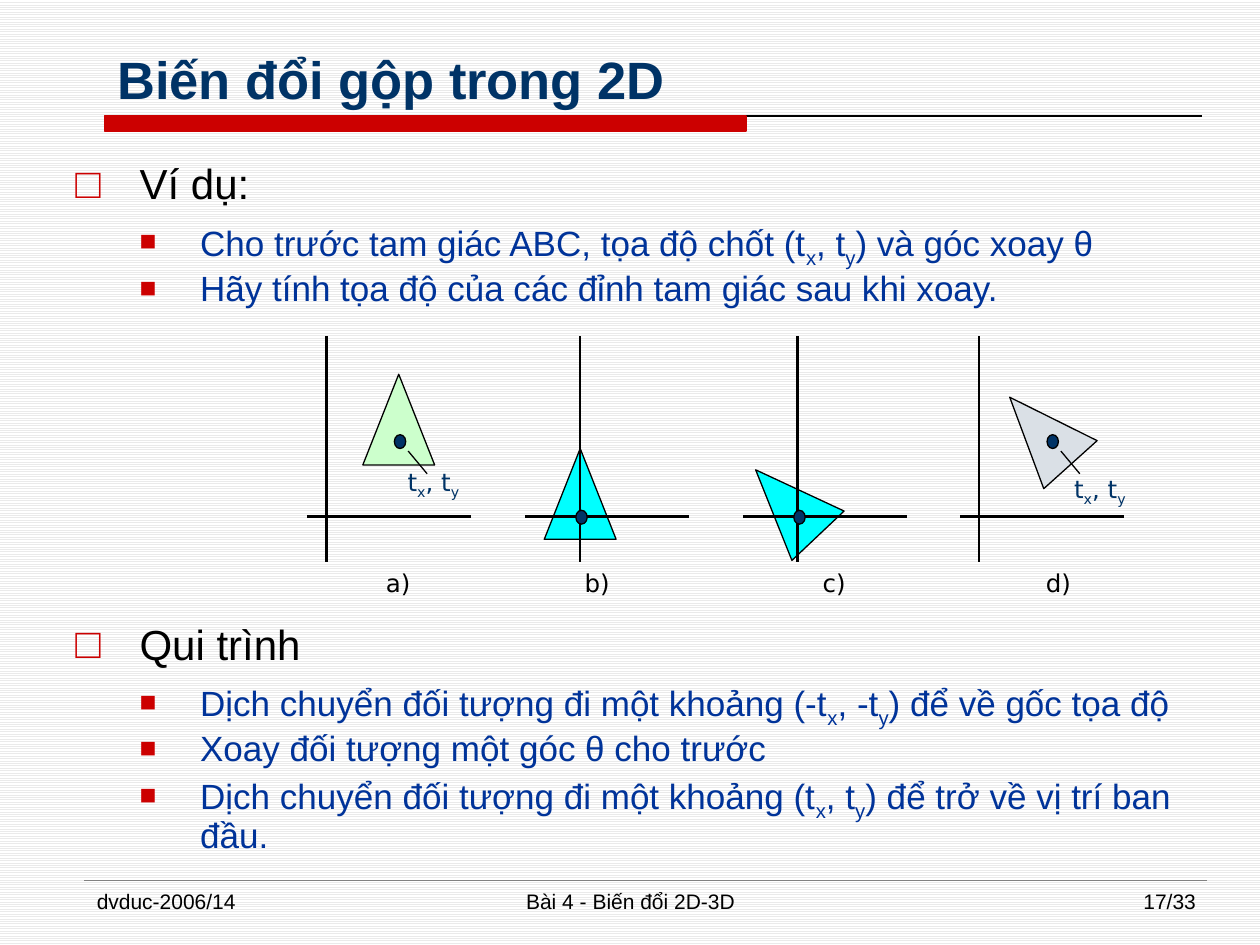
from lxml import etree
from pptx import Presentation
from pptx.dml.color import RGBColor
from pptx.enum.dml import MSO_PATTERN
from pptx.enum.shapes import MSO_CONNECTOR, MSO_SHAPE
from pptx.enum.text import MSO_ANCHOR, MSO_AUTO_SIZE, PP_ALIGN
from pptx.oxml.ns import qn
from pptx.util import Inches, Pt

LEFT, CENTER, RIGHT = PP_ALIGN.LEFT, PP_ALIGN.CENTER, PP_ALIGN.RIGHT
TOP, BOTTOM = MSO_ANCHOR.TOP, MSO_ANCHOR.BOTTOM
NO_FIT = MSO_AUTO_SIZE.NONE
STRAIGHT = MSO_CONNECTOR.STRAIGHT
RECTANGLE, TRIANGLE, OVAL = MSO_SHAPE.RECTANGLE, MSO_SHAPE.ISOSCELES_TRIANGLE, MSO_SHAPE.OVAL
LIGHT_LINES = MSO_PATTERN.LIGHT_HORIZONTAL

BLACK, NAVY, BLUE, RED, GRAY = "000000", "003366", "003399", "CC0000", "808080"
FONT, FIGURE_FONT = "Arial", "DejaVu Sans"

# Outline levels: text format, paragraph spacing and bullet
LEVELS = [
    {"size": 24, "color": BLACK, "before": 1, "after": 4,
     "margin": 0.51, "hang": 0.51, "bullet": "□", "bullet_size": 100},
    {"size": 20, "color": BLUE, "before": 3.5, "after": 0,
     "margin": 0.99, "hang": 0.48, "bullet": "■", "bullet_size": 80},
]
FIGURE_GAP = 180  # points left free for the figure

# (level, text, space before); "_" puts the next letter in subscript
OUTLINE = [
    (0, "Ví dụ:", None),
    (1, "Cho trước tam giác ABC, tọa độ chốt (t_x, t_y) và góc xoay θ", None),
    (1, "Hãy tính tọa độ của các đỉnh tam giác sau khi xoay.", None),
    (0, "Qui trình", FIGURE_GAP),
    (1, "Dịch chuyển đối tượng đi một khoảng (-t_x, -t_y) để về gốc tọa độ", None),
    (1, "Xoay đối tượng một góc θ cho trước", None),
    (1, "Dịch chuyển đối tượng đi một khoảng (t_x, t_y) để trở về vị trí ban đầu.", None),
]

# Steps of the transformation; offsets are measured from the panel corner
PANELS = [
    {"left": 2.44, "axis": 0.15, "weight": 1.5, "triangle": (0.44, 0.30), "angle": 0,
     "fill": "CCFFCC", "pivot": (0.73, 0.83), "label": (0.57, 0.99),
     "caption": "a)", "caption_left": 0.29},
    {"left": 4.17, "axis": 0.43, "weight": 1.25, "triangle": (0.15, 0.89), "angle": 0,
     "fill": "00FFFF", "pivot": (0.44, 1.43), "label": None,
     "caption": "b)", "caption_left": 0.14},
    {"left": 5.90, "axis": 0.43, "weight": 1.25, "triangle": (0.06, 0.96), "angle": 316.6,
     "fill": "00FFFF", "pivot": (0.44, 1.43), "label": None,
     "caption": "c)", "caption_left": 0.29},
    {"left": 7.62, "axis": 0.15, "weight": 1.5, "triangle": (0.35, 0.39), "angle": 318,
     "fill": "DAE0E6", "pivot": (0.73, 0.83), "label": (0.68, 1.04),
     "caption": "d)", "caption_left": 0.35},
]
PANEL_TOP, PANEL_WIDTH, PANEL_HEIGHT = 2.67, 1.3, 1.79


def rgb(value):
    return RGBColor.from_string(value)


def inches(*values):
    return [Inches(value) for value in values]


def add_line(slide, start, end, color, weight):
    line = slide.shapes.add_connector(STRAIGHT, *inches(*start, *end))
    line.line.color.rgb = rgb(color)
    line.line.width = Pt(weight)
    etree.SubElement(line._element.spPr, qn("a:effectLst"))


def add_figure(slide, kind, box, fill, outline=BLACK, angle=0):
    shape = slide.shapes.add_shape(kind, *inches(*box))
    shape.shadow.inherit = False
    shape.fill.solid()
    shape.fill.fore_color.rgb = rgb(fill)
    shape.line.color.rgb = rgb(outline)
    shape.line.width = Pt(0.75)
    shape.rotation = angle


def write(para, text, size, color, name=FONT, bold=False):
    """Write text as runs, with each letter after "_" in subscript."""
    first, *rest = text.split("_")
    pieces = [(first, False)]
    for part in rest:
        pieces += [(part[0], True), (part[1:], False)]
    font_format = {"size": Pt(size), "name": name, "bold": bold}
    for piece, lowered in pieces:
        if not piece:
            continue
        span = para.add_run()
        span.text = piece
        for key, value in font_format.items():
            setattr(span.font, key, value)
        span.font.color.rgb = rgb(color)
        if lowered:
            span._r.get_or_add_rPr().set("baseline", "-25000")


def prepare_frame(shape, anchor=TOP):
    frame = shape.text_frame
    frame_format = {"word_wrap": True, "auto_size": NO_FIT, "vertical_anchor": anchor}
    for key, value in frame_format.items():
        setattr(frame, key, value)
    return frame


def add_text(slide, box, text, size, color, align=LEFT, name=FONT, space=0):
    frame = prepare_frame(slide.shapes.add_textbox(*inches(*box)))
    para = frame.paragraphs[0]
    para.alignment = align
    para.space_before = para.space_after = Pt(space)
    write(para, text, size, color, name)


def set_bullet(para, level):
    props = para._p.get_or_add_pPr()
    props.set("marL", str(Inches(level["margin"])))
    props.set("indent", str(-Inches(level["hang"])))
    color = etree.SubElement(props, qn("a:buClr"))
    etree.SubElement(color, qn("a:srgbClr"), val=RED)
    etree.SubElement(props, qn("a:buSzPct"), val=str(level["bullet_size"] * 1000))
    etree.SubElement(props, qn("a:buFont"), typeface=FONT)
    etree.SubElement(props, qn("a:buChar"), char=level["bullet"])


def place_title(slide, box, text):
    title = slide.shapes.title
    title.left, title.top, title.width, title.height = inches(*box)
    para = prepare_frame(title, BOTTOM).paragraphs[0]
    para.alignment = LEFT
    write(para, text, 30, NAVY, bold=True)
    # Rule under the title
    left, base = box[0], box[1] + box[3]
    add_line(slide, (left, base), (9.54, base), BLACK, 0.75)
    add_figure(slide, RECTANGLE, (left, base, 5.09, 0.12), RED, RED)


def place_outline(slide, box):
    frame = prepare_frame(slide.shapes.add_textbox(*inches(*box)))
    for index, (depth, text, gap) in enumerate(OUTLINE):
        para = frame.add_paragraph() if index else frame.paragraphs[0]
        level = LEVELS[depth]
        para.level = depth
        para.line_spacing = 0.9
        para.space_before = Pt(gap or level["before"])
        para.space_after = Pt(level["after"])
        set_bullet(para, level)
        write(para, text, level["size"], level["color"])


def place_panel(slide, box, panel):
    left, top, width, height = box

    def at(offset):
        return left + offset[0], top + offset[1]

    add_figure(slide, TRIANGLE, (*at(panel["triangle"]), 0.57, 0.72),
               panel["fill"], angle=panel["angle"])
    # Axes
    axis = panel["axis"]
    add_line(slide, at((axis, 0)), at((axis, height)), BLACK, panel["weight"])
    add_line(slide, at((0, 1.43)), at((width, 1.43)), BLACK, panel["weight"])
    # Pivot point
    x, y = at(panel["pivot"])
    add_figure(slide, OVAL, (x - 0.04, y - 0.05, 0.09, 0.11), NAVY)
    if panel["label"]:
        add_line(slide, (x + 0.07, y + 0.08), (x + 0.22, y + 0.26), BLACK, 0.75)
        add_text(slide, (*at(panel["label"]), 0.86, 0.44), "t_x, t_y",
                 14, NAVY, CENTER, FIGURE_FONT, 1)
    add_text(slide, (*at((panel["caption_left"], height)), 0.86, 0.54),
             panel["caption"], 14, BLACK, CENTER, FIGURE_FONT, 1)


def place_footer(slide, top, height):
    add_line(slide, (0.67, top - 0.01), (9.58, top - 0.01), GRAY, 0.25)
    for left, width, text, align in [
        (0.67, 2.17, "dvduc-2006/14", LEFT),
        (3.42, 3.17, "Bài 4 - Biến đổi 2D-3D", CENTER),
        (7.42, 2.17, "17/33", RIGHT),
    ]:
        add_text(slide, (left, top, width, height), text, 12, BLACK, align)


def main():
    deck = Presentation()
    deck.slide_width, deck.slide_height = inches(10, 7.5)
    slide = deck.slides.add_slide(deck.slide_layouts[5])
    # Striped background
    fill = slide.background.fill
    fill.patterned()
    fill.pattern = LIGHT_LINES
    fill.fore_color.rgb = rgb("EAEAEA")
    fill.back_color.rgb = rgb("FFFFFF")

    place_title(slide, (0.83, 0.17, 9, 0.75), "Biến đổi gộp trong 2D")
    place_outline(slide, (0.5, 1.25, 9.33, 5.67))
    for panel in PANELS:
        place_panel(slide, (panel["left"], PANEL_TOP, PANEL_WIDTH, PANEL_HEIGHT), panel)
    place_footer(slide, 7, 0.35)
    deck.save("out.pptx")


if __name__ == "__main__":
    main()
